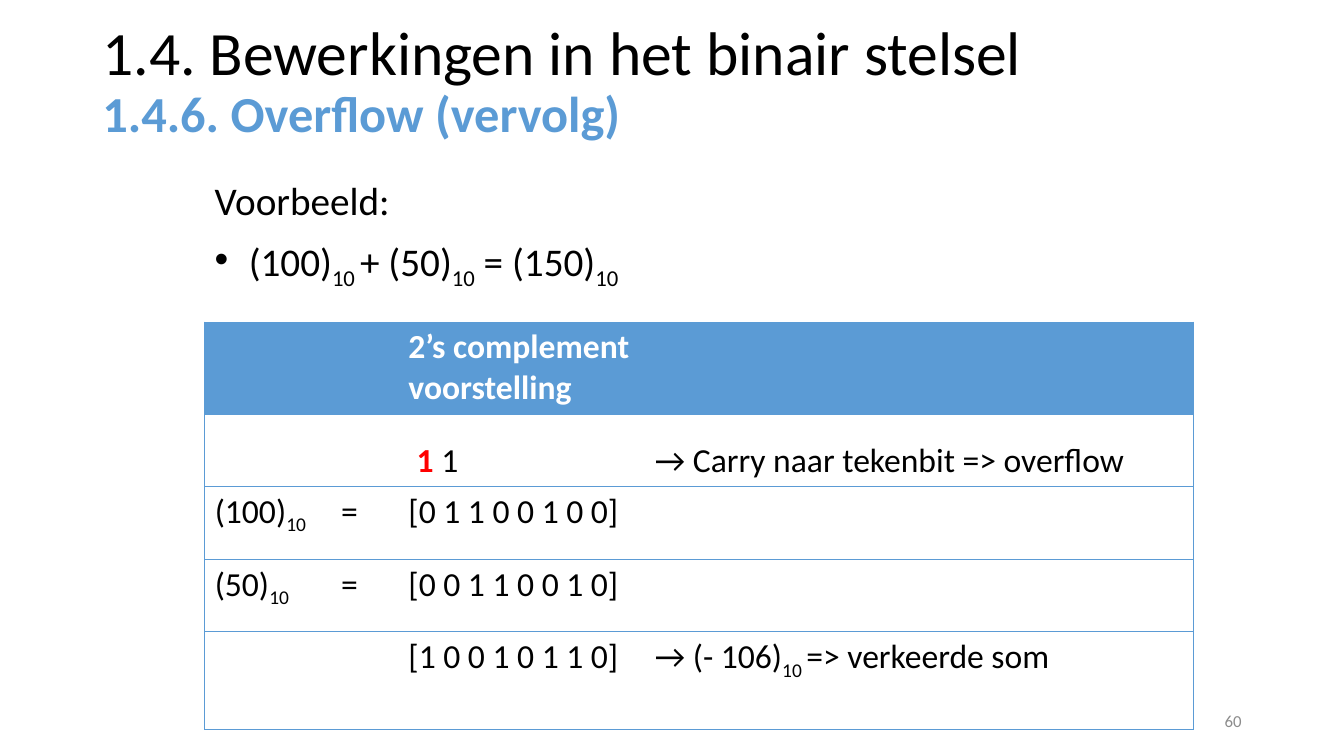
"""Build the slide on overflow in binary addition."""
from dataclasses import dataclass

from lxml.etree import SubElement as Sub
from pptx import Presentation
from pptx.dml.color import RGBColor as Rgb
from pptx.enum.text import MSO_ANCHOR as Anchor, PP_ALIGN as Align
from pptx.oxml.ns import qn
from pptx.util import Cm, Pt


@dataclass(frozen=True)
class Theme:
    face: str = "Calibri"
    ink: str = "000000"
    blue: str = "5B9BD5"
    white: str = "FFFFFF"
    red: str = "FF0000"
    gray: str = "8C8C8C"
    title: int = 44
    sub: int = 36
    body: int = 28
    cell: int = 24
    foot: int = 12
    line: float = 0.5


theme = Theme()


def style(run, size, color=theme.ink, bold=False):
    font = run.font
    font.name, font.size, font.bold = theme.face, Pt(size), bold
    font.color.rgb = Rgb.from_string(color)


def write(para, text, size, color=theme.ink, bold=False):
    """Write text in which every second part between bars is a subscript."""
    for i, part in enumerate(text.split("|")):
        run = para.add_run()
        run.text = part
        style(run, size, color, bold)
        if i % 2:
            run._r.get_or_add_rPr().set("baseline", "-25000")


deck = Presentation()
deck.slide_width, deck.slide_height = Cm(33.87), Cm(19.05)
slide = deck.slides.add_slide(deck.slide_layouts[6])
shapes = slide.shapes

boxes = []
for place in ((2.33, 0.25, 29.21, 3.68), (5.16, 4.45, 24.91, 3.4), (23.92, 17.66, 7.62, 1.01)):
    frame = shapes.add_textbox(*map(Cm, place)).text_frame
    frame.word_wrap = True
    boxes.append(frame)
title, body, foot = boxes

title.vertical_anchor = Anchor.MIDDLE
head = title.paragraphs[0]
head.text = "1.4. Bewerkingen in het binair stelsel\v1.4.6. Overflow (vervolg)"
head.line_spacing = 0.9
style(head.runs[0], theme.title)
style(head.runs[1], theme.sub, theme.blue, True)

intro = body.paragraphs[0]
write(intro, "Voorbeeld:", theme.body)
sum_line = body.add_paragraph()
sum_line.space_before = Pt(10)
for para in body.paragraphs:
    para.line_spacing = 0.9
props = sum_line._p.get_or_add_pPr()
props.set("marL", str(Cm(0.86)))
props.set("indent", str(-Cm(0.86)))
Sub(props, qn("a:buFont"), typeface="Arial")
Sub(props, qn("a:buChar"), char="•")
write(sum_line, "(100)|10 |+ (50)|10| = (150)|10", theme.body)

foot.vertical_anchor = Anchor.MIDDLE
page = foot.paragraphs[0]
page.alignment = Align.RIGHT
write(page, "60", theme.foot, theme.gray)

rows = (
    ("", "", "2’s complement voorstelling", ""),
    ("", "", "1 1", "→ Carry naar tekenbit => overflow"),
    ("(100)|10", "=", "[0 1 1 0 0 1 0 0]", ""),
    ("(50)|10", "=", "[0 0 1 1 0 0 1 0]", ""),
    ("", "", "[1 0 0 1 0 1 1 0]", "→ (- 106)|10 |=> verkeerde som"),
)
widths = (3.18, 1.7, 6.21, 13.83)
heights = (2.32, 1.83, 1.83, 1.83, 2.46)
table = shapes.add_table(
    len(rows), len(widths), Cm(5.16), Cm(8.11), Cm(sum(widths)), Cm(sum(heights))
).table
table.first_row = table.horz_banding = False
for col, width in zip(table.columns, widths):
    col.width = Cm(width)
for row, height in zip(table.rows, heights):
    row.height = Cm(height)

for r, texts in enumerate(rows):
    for c, text in enumerate(texts):
        cell = table.cell(r, c)
        para = cell.text_frame.paragraphs[0]
        para.font.size = Pt(theme.cell)
        if r == 1:
            cell.vertical_anchor = Anchor.BOTTOM
        if text:
            write(para, text, theme.cell, theme.ink if r else theme.white, r == 0)
        drawn = {"lnL": c == 0, "lnR": c == len(widths) - 1, "lnT": True, "lnB": True}
        tcpr = cell._tc.get_or_add_tcPr()
        for side, shown in drawn.items():
            edge = Sub(tcpr, qn(f"a:{side}"), w=str(Pt(theme.line)))
            if shown:
                Sub(Sub(edge, qn("a:solidFill")), qn("a:srgbClr"), val=theme.blue)
            else:
                Sub(edge, qn("a:noFill"))
        cell.fill.solid()
        cell.fill.fore_color.rgb = Rgb.from_string(theme.white if r else theme.blue)

carry = table.cell(1, 2)
carry.margin_left = Cm(0.46)
bits = carry.text_frame.paragraphs[0]
bits.runs[0].text = "1"
style(bits.runs[0], theme.cell, theme.red, True)
write(bits, " 1", theme.cell)

deck.save("out.pptx")
